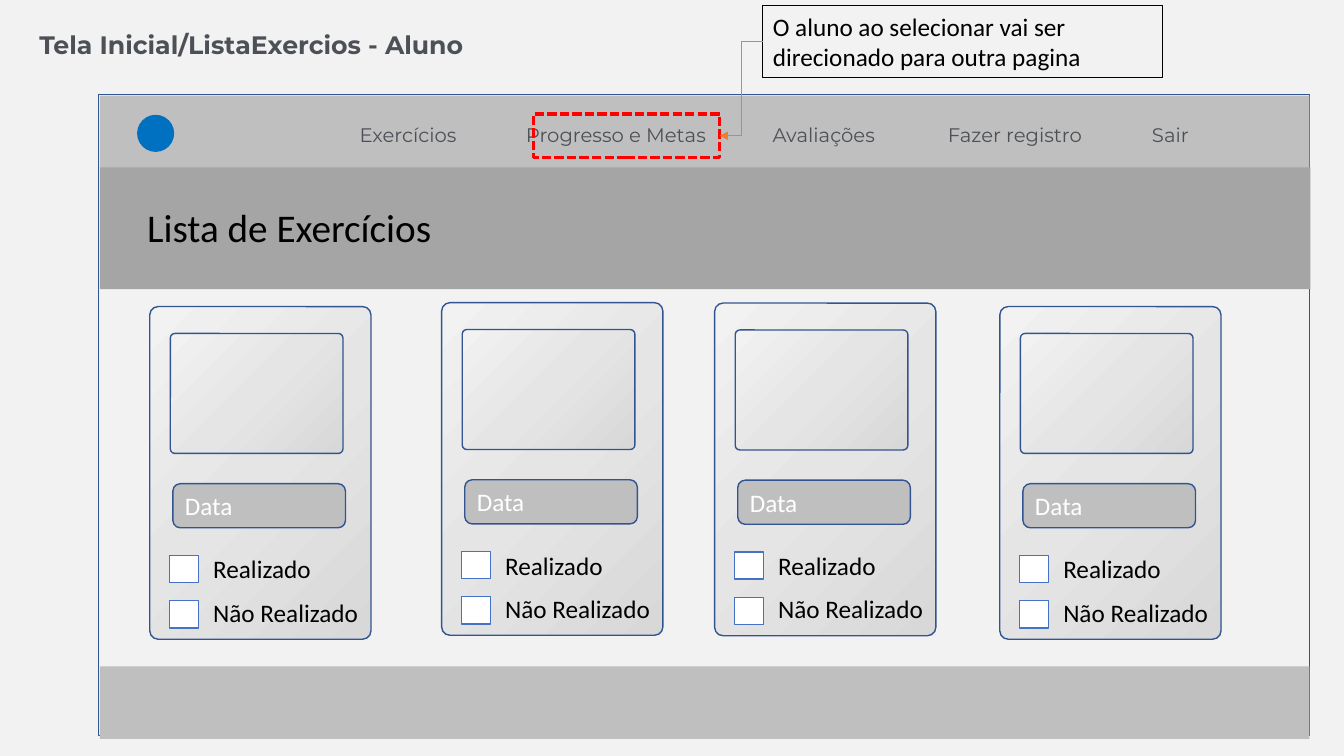
from lxml import etree
from pptx import Presentation
from pptx.dml.color import RGBColor
from pptx.enum.dml import MSO_LINE
from pptx.enum.shapes import MSO_CONNECTOR, MSO_SHAPE
from pptx.enum.text import MSO_ANCHOR, MSO_AUTO_SIZE, PP_ALIGN
from pptx.oxml.ns import qn
from pptx.util import Pt

RECTANGLE = MSO_SHAPE.RECTANGLE
ROUNDED = MSO_SHAPE.ROUNDED_RECTANGLE
OVAL = MSO_SHAPE.OVAL
ELBOW = MSO_CONNECTOR.ELBOW
DASHED = MSO_LINE.SQUARE_DOT
LEFT, CENTER = PP_ALIGN.LEFT, PP_ALIGN.CENTER
TOP, MIDDLE = MSO_ANCHOR.TOP, MSO_ANCHOR.MIDDLE
FIT_TEXT = MSO_AUTO_SIZE.SHAPE_TO_FIT_TEXT

PAGE, BAR, BANNER = "F2F2F2", "BFBFBF", "A5A5A5"
NAVY, BLUE, BADGE = "325491", "4472C4", "0070C0"
SLATE, BLACK, WHITE = "4D5156", "000000", "FFFFFF"
RED, ORANGE = "FF0000", "ED7D31"
CARD_GRADIENT = [(0, "D8D8D8"), (50, "E5E5E5"), (100, "F2F2F2")]

# Text, left, width
MENU = [
    ("Exercícios", 222.5, 138),
    ("Progresso e Metas", 361.5, 157),
    ("Avaliações", 519.5, 138),
    ("Fazer registro", 658.5, 133),
    ("Sair", 793.5, 85),
]
CARD_CORNERS = [(107, 219), (315.5, 216.2), (510.5, 216.5), (714.2, 219)]


def color(value):
    return RGBColor.from_string(value)


def add_box(shapes, kind, left, top, width, height, fill=None, line=None, weight=1):
    box = shapes.add_shape(kind, Pt(left), Pt(top), Pt(width), Pt(height))
    box.shadow.inherit = False
    if fill:
        box.fill.solid()
        box.fill.fore_color.rgb = color(fill)
    else:
        box.fill.background()
    if line:
        box.line.color.rgb = color(line)
        box.line.width = Pt(weight)
    else:
        box.line.fill.background()
    return box


def write(shape, text, size, text_color, font="Calibri", bold=False, align=LEFT, anchor=TOP):
    frame = shape.text_frame
    frame.text = text
    frame.word_wrap = True
    frame.vertical_anchor = anchor
    paragraph = frame.paragraphs[0]
    paragraph.alignment = align
    run_font = paragraph.runs[0].font
    run_font.name = font
    run_font.size = Pt(size)
    run_font.bold = bold
    run_font.color.rgb = color(text_color)


def add_text(shapes, left, top, width, height, text, size, text_color, **style):
    box = shapes.add_textbox(Pt(left), Pt(top), Pt(width), Pt(height))
    write(box, text, size, text_color, **style)
    box.text_frame.auto_size = FIT_TEXT


def add_gradient_panel(shapes, left, top, width, height):
    """Add a rounded panel whose gradient spreads from the bottom right corner."""
    panel = add_box(shapes, ROUNDED, left, top, width, height, line=NAVY)
    panel.adjustments[0] = 0.038
    gradient = etree.Element(qn("a:gradFill"), rotWithShape="1")
    stops = etree.SubElement(gradient, qn("a:gsLst"))
    for position, value in CARD_GRADIENT:
        stop = etree.SubElement(stops, qn("a:gs"), pos=str(position * 1000))
        etree.SubElement(stop, qn("a:srgbClr"), val=value)
    shade = etree.SubElement(gradient, qn("a:path"))
    shade.set("path", "circle")
    etree.SubElement(shade, qn("a:fillToRect"), l="100000", t="100000")
    properties = panel._element.spPr
    properties.replace(properties.find(qn("a:noFill")), gradient)


def add_card(slide, left, top):
    shapes = slide.shapes.add_group_shape().shapes
    add_gradient_panel(shapes, left, top, 158, 237.6)
    add_gradient_panel(shapes, left + 14.7, top + 19.2, 123.3, 85.7)
    date = add_box(shapes, ROUNDED, left + 16.5, top + 126.5, 123.3, 31.5, BAR, NAVY)
    write(date, "Data", 18, WHITE, anchor=MIDDLE)
    for row, (label, width) in enumerate([("Realizado", 87), ("Não Realizado", 120)]):
        add_box(shapes, RECTANGLE, left + 14, top + 177.7 + 32.4 * row, 20.9, 19.5, WHITE, BLUE)
        add_text(shapes, left + 38.2, top + 173 + 31 * row, width, 29, label, 18, BLACK)


def add_elbow_arrow(slide, start, end):
    arrow = slide.shapes.add_connector(ELBOW, *map(Pt, start + end))
    arrow.line.color.rgb = color(ORANGE)
    arrow.line.width = Pt(0.5)
    etree.SubElement(arrow.line._get_or_add_ln(), qn("a:tailEnd"), type="triangle")
    etree.SubElement(arrow._element.spPr, qn("a:effectLst"))


def main():
    presentation = Presentation()
    presentation.slide_width, presentation.slide_height = Pt(960), Pt(540)
    slide = presentation.slides.add_slide(presentation.slide_layouts[6])
    slide.background.fill.solid()
    slide.background.fill.fore_color.rgb = color(PAGE)
    shapes = slide.shapes

    add_box(shapes, RECTANGLE, 70.5, 67.5, 864.7, 458, PAGE, NAVY)
    add_box(shapes, RECTANGLE, 71.3, 68.3, 864, 51.8, BAR)
    add_box(shapes, OVAL, 97.9, 82, 26.5, 26.5, BADGE)
    add_text(shapes, 21, 17.3, 435.6, 29, "Tela Inicial/ListaExercios - Aluno",
             18, SLATE, font="Montserrat", bold=True)
    for text, left, width in MENU:
        add_text(shapes, left, 84.3, width, 24.3, text, 14, SLATE,
                 font="Montserrat", align=CENTER)

    add_box(shapes, RECTANGLE, 71.3, 119.5, 864.7, 87.1, BANNER)
    for left, top in CARD_CORNERS:
        add_card(slide, left, top)
    add_box(shapes, RECTANGLE, 71.3, 476, 864, 51.8, BAR)
    add_text(shapes, 98, 142, 217.5, 41, "Lista de Exercícios", 28, BLACK)

    highlight = add_box(shapes, RECTANGLE, 380.9, 81.4, 133.2, 31, line=RED, weight=2.25)
    highlight.line.dash_style = DASHED
    callout = add_box(shapes, RECTANGLE, 545, 4.2, 285.2, 51, line=BLACK, weight=0.75)
    write(callout, "O aluno ao selecionar vai ser direcionado para outra pagina", 18, BLACK)
    callout.text_frame.auto_size = FIT_TEXT
    add_elbow_arrow(slide, (545, 29.5), (514.1, 97))

    presentation.save("out.pptx")


if __name__ == "__main__":
    main()
